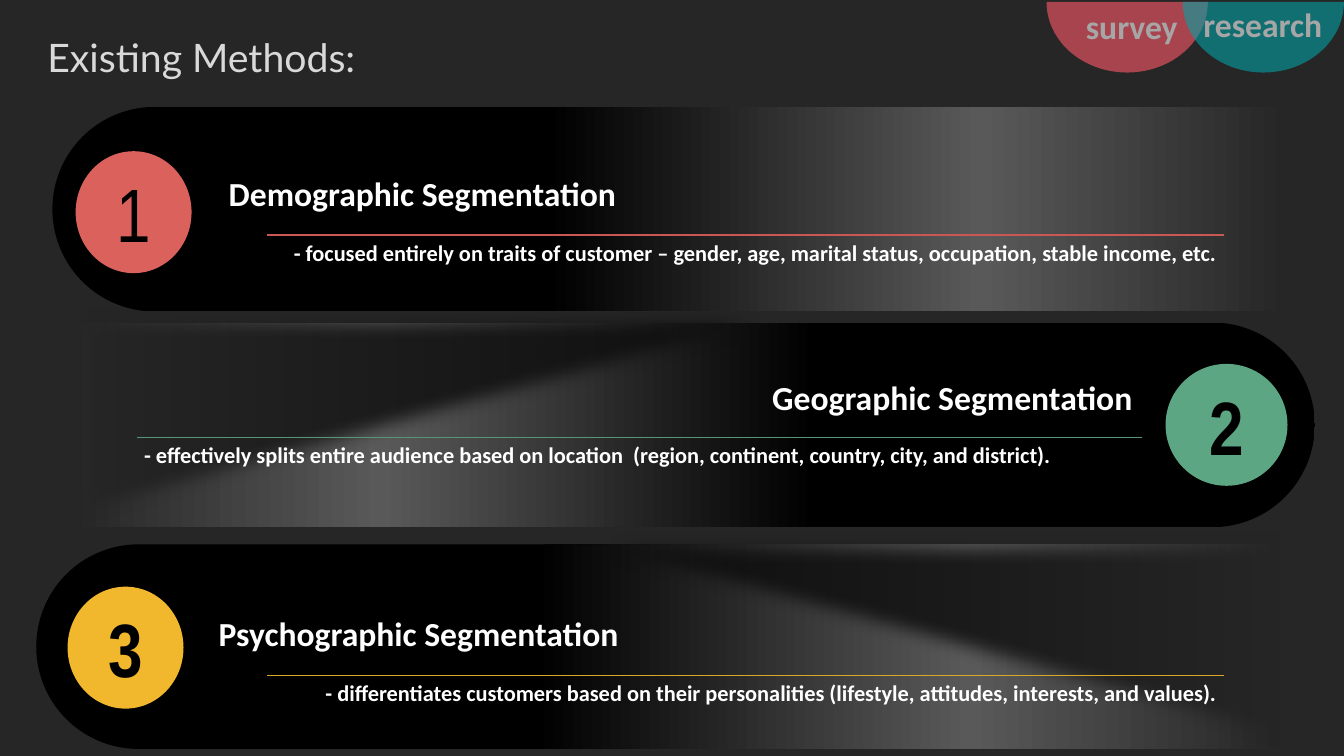
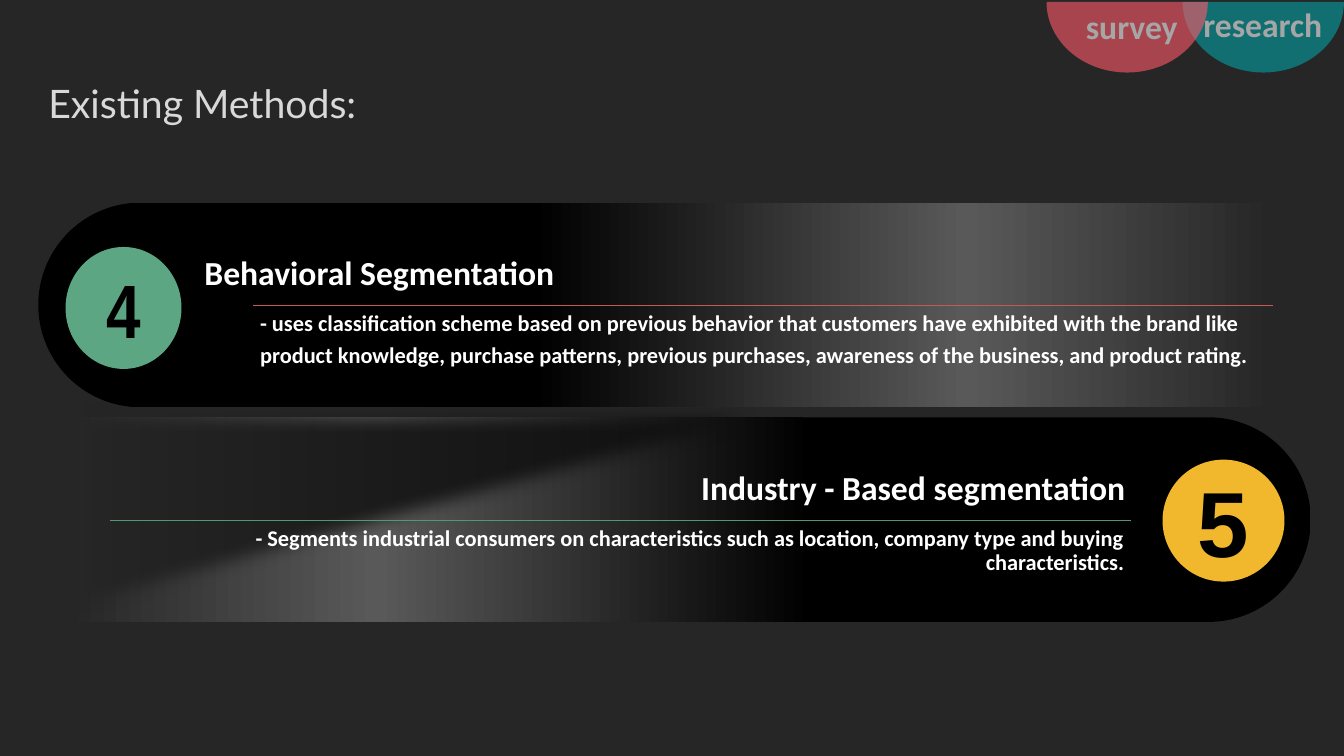
from copy import deepcopy
from dataclasses import dataclass
from math import cos, pi, sin

from lxml import etree
from pptx import Presentation
from pptx.dml.color import RGBColor
from pptx.enum.shapes import MSO_CONNECTOR, MSO_SHAPE
from pptx.enum.text import MSO_ANCHOR, PP_ALIGN
from pptx.oxml.ns import qn
from pptx.util import Inches, Pt

SLIDE_WIDTH, SLIDE_HEIGHT = 13.33, 7.5
LEFT, CENTER, RIGHT = PP_ALIGN.LEFT, PP_ALIGN.CENTER, PP_ALIGN.RIGHT
MIDDLE = MSO_ANCHOR.MIDDLE
BAND_SHAPE = MSO_SHAPE.ROUND_2_SAME_RECTANGLE
TRIANGLE, OVAL = MSO_SHAPE.RIGHT_TRIANGLE, MSO_SHAPE.OVAL
STRAIGHT = MSO_CONNECTOR.STRAIGHT

BACKGROUND, BLACK, WHITE = "262626", "000000", "FFFFFF"
TITLE_COLOR, TAB_TEXT = "D9D9D9", "A6A6A6"
RED, GREEN, YELLOW = "DB615C", "5CA683", "F1B72D"
RED_RULE, GREEN_RULE, YELLOW_RULE = "C75853", "539777", "DBA629"
BAND_STOPS = [(0.4, BLACK), (0.75, "595959"), (1, BACKGROUND)]
SHADE_STOPS = [(0, BACKGROUND), (1, "090909")]

BAND_HEIGHT = 2.03
SHADE_WIDTH, SHADE_HEIGHT = 8.08, 2.23
HEADING_WIDTH, HEADING_HEIGHT = 9.16, 0.5
CIRCLE_HEIGHT = 1.21
TAB_WIDTH, TAB_HEIGHT = 1.6, 0.7
TAB_TEXT_WIDTH = 2.27

# name: (tab left, text left, text top, colour)
TABS = {
    "survey": (10.38, 10.09, 0.01, "FF5969"),
    "research": (11.73, 11.39, -0.01, "03A1A4"),
}


@dataclass
class Segment:
    """One numbered band; band is left, top, width and the pairs are left, top."""
    number: str
    heading: str
    description: str
    band: tuple
    circle: tuple
    heading_at: tuple
    rule: tuple
    color: str
    rule_color: str
    rounded_right: bool = False
    shade: tuple = None
    align: PP_ALIGN = RIGHT
    font: str = "Arial Narrow"
    size: int = 54
    bold: bool = True


FIRST_SEGMENTS = [
    Segment("1", "Demographic Segmentation",
            "- focused entirely on traits of customer – gender, age, marital status, "
            "occupation, stable income, etc.",
            (0.52, 1.06, 12.26), (0.75, 1.5), (2.17, 1.67), (2.65, 2.33, 9.49),
            RED, RED_RULE, bold=False),
    Segment("2", "Geographic Segmentation",
            "- effectively splits entire audience based on location  "
            "(region, continent, country, city, and district).",
            (0.7, 3.2, 12.34), (11.56, 3.61), (2.17, 3.69), (1.36, 4.34, 9.97),
            GREEN, GREEN_RULE, True, (0.73, 3.04), LEFT),
    Segment("3", "Psychographic Segmentation",
            "- differentiates customers based on their personalities "
            "(lifestyle, attitudes, interests, and values).",
            (0.36, 5.4, 12.34), (0.67, 5.82), (2.07, 6.03), (2.65, 6.7, 9.49),
            YELLOW, YELLOW_RULE, shade=(4.76, 5.28)),
]
SECOND_SEGMENTS = [
    Segment("4", "Behavioral Segmentation",
            "- uses classification scheme based on previous behavior that customers "
            "have exhibited with the brand like\n"
            "product knowledge, purchase patterns, previous purchases, awareness of "
            "the business, and product rating.",
            (0.38, 2.01, 12.26), (0.65, 2.45), (1.93, 2.45), (2.51, 3.03, 10.12),
            GREEN, RED_RULE, align=LEFT),
    Segment("5", "Industry - Based segmentation",
            "- Segments industrial consumers on characteristics such as location, "
            "company type and buying characteristics.",
            (0.66, 4.14, 12.34), (11.53, 4.56), (2.1, 4.58), (1.09, 5.16, 10.13),
            YELLOW, GREEN_RULE, True, (0.69, 3.98), font="Arial", size=66),
]


def rgb(color):
    return RGBColor.from_string(color)


def add_child(parent, tag, **attributes):
    child = etree.SubElement(parent, qn(tag))
    for name, value in attributes.items():
        child.set(name, str(value))
    return child


def format_text(text_frame, font, size, color, bold=False, align=LEFT, line_spacing=None):
    text_frame.word_wrap = True
    for paragraph in text_frame.paragraphs:
        paragraph.alignment = align
        paragraph.line_spacing = line_spacing
        for run in paragraph.runs:
            run.font.name, run.font.size, run.font.bold = font, Pt(size), bold
            run.font.color.rgb = rgb(color)


def add_text(slide, text, left, top, width, height, size, color, align=LEFT, line_spacing=None):
    box = slide.shapes.add_textbox(Inches(left), Inches(top), Inches(width), Inches(height))
    box.text_frame.text = text
    format_text(box.text_frame, "Calibri", size, color, True, align, line_spacing)
    return box.text_frame


def set_margins(text_frame, margin):
    text_frame.margin_left = text_frame.margin_right = Inches(margin)
    text_frame.margin_top = text_frame.margin_bottom = Inches(margin)


def add_shape(slide, kind, left, top, width, height):
    shape = slide.shapes.add_shape(kind, Inches(left), Inches(top), Inches(width), Inches(height))
    shape.shadow.inherit = False
    shape.line.fill.background()
    return shape


def fill_gradient(shape, stops, angle):
    shape.fill.gradient()
    shape.fill.gradient_angle = angle
    stop_list = shape.element.spPr.find(".//" + qn("a:gsLst"))
    while len(stop_list) < len(stops):
        stop_list.append(deepcopy(stop_list[0]))
    for stop, (position, color) in zip(shape.fill.gradient_stops, stops):
        stop.position = position
        stop.color.rgb = rgb(color)


def add_title(slide, text, left, top):
    title = slide.shapes.title
    title.left, title.top, title.width, title.height = map(Inches, (left, top, 5.6, 0.54))
    title.text_frame.text = text
    title.text_frame.vertical_anchor = MIDDLE
    format_text(title.text_frame, "Lato", 28, TITLE_COLOR, line_spacing=0.9)


def add_tab(slide, name, top):
    """Hang a translucent half ellipse from the top edge, with its label."""
    left, text_left, text_top, color = TABS[name]
    radius, steps = TAB_WIDTH / 2, 48
    points = [(Inches(left + radius + radius * cos(pi * step / steps)),
               Inches(top + TAB_HEIGHT * sin(pi * step / steps)))
              for step in range(steps + 1)]
    builder = slide.shapes.build_freeform(*points[0])
    builder.add_line_segments(points[1:], close=True)
    tab = builder.convert_to_shape()
    tab.shadow.inherit = False
    tab.line.fill.background()
    tab.fill.solid()
    tab.fill.fore_color.rgb = rgb(color)
    add_child(tab.element.spPr.find(".//" + qn("a:srgbClr")), "a:alpha", val=60000)
    add_text(slide, name, text_left, text_top, TAB_TEXT_WIDTH, 0.5, 24, TAB_TEXT, CENTER)


def add_band(slide, left, top, width, rounded_right):
    """Turn an upright shape on its side, so that its round end points left or right."""
    shift = (width - BAND_HEIGHT) / 2
    band = add_shape(slide, BAND_SHAPE, left + shift, top - shift, BAND_HEIGHT, width)
    band.rotation = 90 if rounded_right else 270
    band.adjustments[0], band.adjustments[1] = 0.5, 0
    fill_gradient(band, BAND_STOPS, 270)


def add_shade(slide, left, top, mirrored):
    """Lay a soft-edged dark triangle over the light end of a band."""
    shade = add_shape(slide, TRIANGLE, left, top, SHADE_WIDTH, SHADE_HEIGHT)
    fill_gradient(shade, SHADE_STOPS, 0)
    transform = shade.element.spPr.find(qn("a:xfrm"))
    transform.set("flipV", "1")
    if mirrored:
        transform.set("flipH", "1")
    effects = shade.element.spPr.find(qn("a:effectLst"))
    add_child(effects, "a:softEdge", rad=Pt(12.5))


def add_number(slide, segment):
    width = CIRCLE_HEIGHT if segment.rounded_right else 1.15
    circle = add_shape(slide, OVAL, *segment.circle, width, CIRCLE_HEIGHT)
    circle.fill.solid()
    circle.fill.fore_color.rgb = rgb(segment.color)
    text_frame = circle.text_frame
    text_frame.text = segment.number
    text_frame.vertical_anchor = MIDDLE
    set_margins(text_frame, 0)
    format_text(text_frame, segment.font, segment.size, BLACK, segment.bold, CENTER)
    text_frame.paragraphs[0].runs[0].font._element.set("spc", "300")


def add_rule(slide, left, top, width, color, shadowed):
    rule = slide.shapes.add_connector(
        STRAIGHT, Inches(left), Inches(top), Inches(left + width), Inches(top))
    rule.line.color.rgb = rgb(color)
    rule.line.width = Pt(0.5 if shadowed else 1)
    effects = add_child(rule.element.spPr, "a:effectLst")
    if shadowed:
        shadow = add_child(effects, "a:outerShdw", blurRad=Pt(4.5), dist=Pt(1.5),
                           dir=5400000, algn="ctr", rotWithShape=0)
        shadow_color = add_child(shadow, "a:srgbClr", val=BLACK)
        add_child(shadow_color, "a:alpha", val=63000)


def add_description(slide, segment):
    left, top, width = segment.rule
    text_frame = add_text(slide, segment.description, left, top, width, 0.6,
                          16, WHITE, segment.align, 0.9)
    set_margins(text_frame, 0.07)
    for paragraph in text_frame.paragraphs:
        paragraph.space_after = Pt(5.6)


def add_segment(slide, segment):
    add_band(slide, *segment.band, segment.rounded_right)
    if segment.shade:
        add_shade(slide, *segment.shade, not segment.rounded_right)
    add_number(slide, segment)
    add_text(slide, segment.heading, *segment.heading_at, HEADING_WIDTH, HEADING_HEIGHT,
             24, WHITE, RIGHT if segment.rounded_right else LEFT)
    add_rule(slide, *segment.rule, segment.rule_color, segment.rounded_right)
    add_description(slide, segment)


def add_methods_slide(presentation, title_at, segments, tabs):
    """Build a slide; later segments and earlier tabs lie further back."""
    slide = presentation.slides.add_slide(presentation.slide_layouts[5])
    add_title(slide, "Existing Methods:", *title_at)
    for segment in reversed(segments):
        add_segment(slide, segment)
    for name in tabs:
        add_tab(slide, name, 0.02)


def main():
    presentation = Presentation()
    presentation.slide_width = Inches(SLIDE_WIDTH)
    presentation.slide_height = Inches(SLIDE_HEIGHT)
    background = presentation.slide_master.background.fill
    background.solid()
    background.fore_color.rgb = rgb(BACKGROUND)
    add_methods_slide(presentation, (0.37, 0.32), FIRST_SEGMENTS, ("survey", "research"))
    add_methods_slide(presentation, (0.38, 0.78), SECOND_SEGMENTS, ("research", "survey"))
    presentation.save("out.pptx")


if __name__ == "__main__":
    main()
